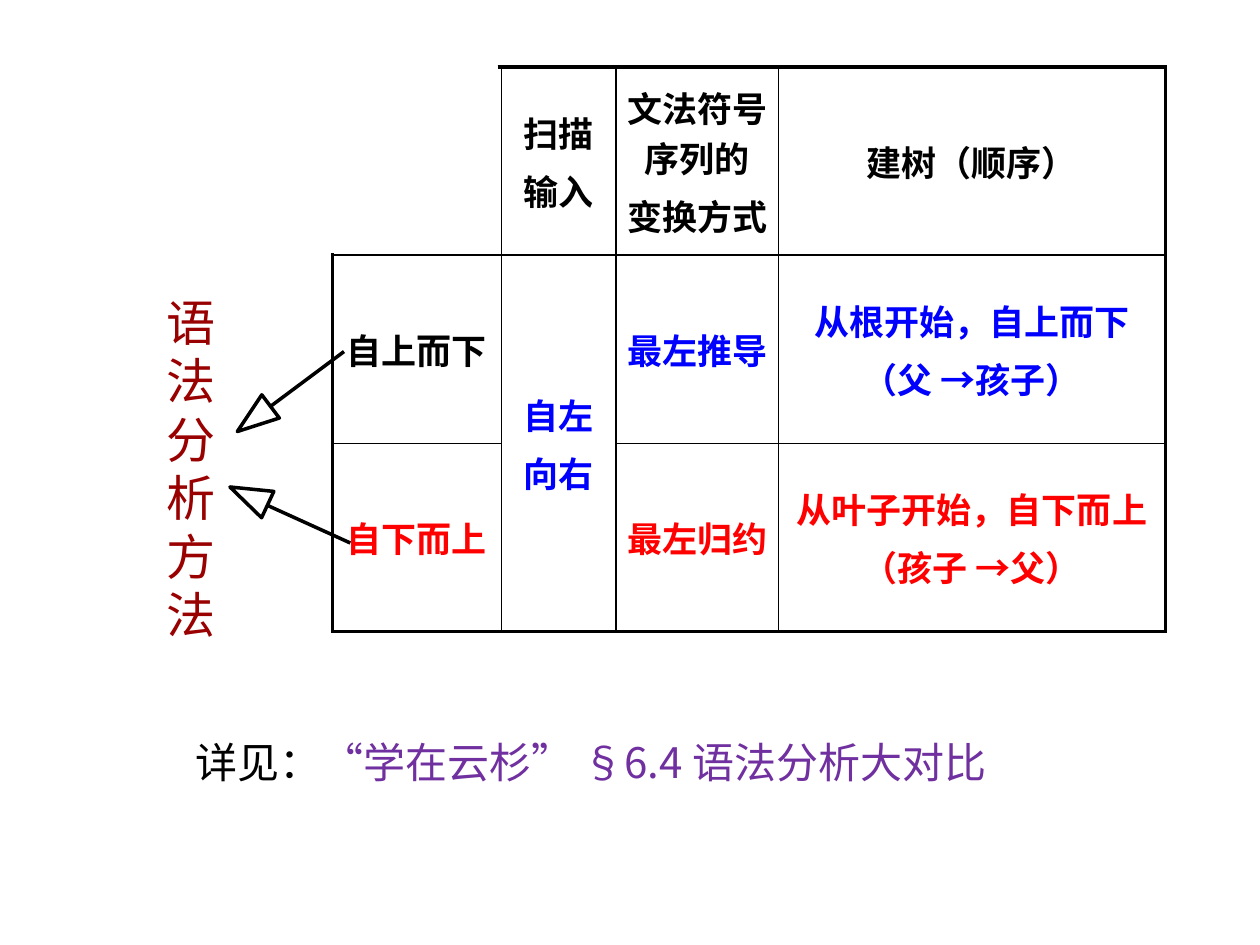
from dataclasses import dataclass

from lxml.etree import SubElement
from pptx import Presentation
from pptx.dml.color import RGBColor
from pptx.enum.lang import MSO_LANGUAGE_ID as Language
from pptx.enum.shapes import MSO_CONNECTOR as Connector, MSO_SHAPE as Preset
from pptx.enum.text import MSO_ANCHOR as Anchor, PP_ALIGN as Align
from pptx.oxml.ns import qn
from pptx.util import Pt


@dataclass(frozen=True)
class Theme:
    black: str = "000000"
    white: str = "FFFFFF"
    blue: str = "0000FF"
    red: str = "FF0000"
    maroon: str = "990000"
    purple: str = "7030A0"
    cjk: str = "Noto Sans CJK SC"
    serif: str = "Times New Roman"
    cell_size: float = 20
    note_size: float = 24
    heading_size: float = 28
    outer: float = 2.25
    inner: float = 1
    arrow: float = 2


THEME = Theme()
COLUMNS = [96.5, 65.5, 92.9, 221]
ROW_HEIGHT = 107.6
ROWS = [
    [[], ["扫描", "输入"], ["文法符号序列的", "变换方式"], ["建树（顺序）"]],
    [["自上而下"], ["自左", "向右"], ["最左推导"],
     ["从根开始，自上而下", "（父 →孩子）"]],
    [["自下而上"], [], ["最左归约"],
     ["从叶子开始，自下而上", "（孩子 →父）"]],
]


def apply(target, values):
    for name, value in values.items():
        setattr(target, name, value)


def points(*lengths):
    return [Pt(length) for length in lengths]


def add_span(para, text, size, color, latin=THEME.cjk, bold=False):
    for index, line in enumerate(text.split("\n")):
        if index:
            para.add_line_break()
        span = para.add_run()
        span.text = line
        apply(span.font, {"size": Pt(size), "bold": bold, "name": latin,
                          "language_id": Language.SIMPLIFIED_CHINESE})
        span.font.color.rgb = RGBColor.from_string(color)
        SubElement(span.font._element, qn("a:ea"), typeface=THEME.cjk)


def add_text(slide, bounds, spans, size, anchor=Anchor.TOP, spacing=None):
    frame = slide.shapes.add_textbox(*points(*bounds)).text_frame
    apply(frame, {"word_wrap": True, "vertical_anchor": anchor})
    para = frame.paragraphs[0]
    if spacing:
        para.line_spacing = Pt(spacing)
    for text, color in spans:
        add_span(para, text, size, color)


def set_borders(cell, widths):
    props = cell._tc.get_or_add_tcPr()
    for side, width in widths.items():
        line = SubElement(props, qn(f"a:ln{side}"), w=str(Pt(width)))
        fill = SubElement(line, qn("a:solidFill"))
        SubElement(fill, qn("a:srgbClr"), val=THEME.black)


def fill_cell(cell, lines, color):
    cell.fill.solid()
    cell.fill.fore_color.rgb = RGBColor.from_string(THEME.white)
    apply(cell, {"vertical_anchor": Anchor.MIDDLE, "margin_left": 0,
                 "margin_right": 0, "margin_top": 0, "margin_bottom": 0})
    frame = cell.text_frame
    for index, line in enumerate(lines):
        para = frame.add_paragraph() if index else frame.paragraphs[0]
        apply(para, {"alignment": Align.CENTER,
                     "space_before": Pt(THEME.cell_size * 0.2)})
        add_span(para, line, THEME.cell_size, color, THEME.serif, True)


def cell_color(row, column):
    if row == 0 or (row, column) == (1, 0):
        return THEME.black
    return THEME.blue if row == 1 else THEME.red


def add_comparison(slide):
    last_row, last_column = len(ROWS) - 1, len(COLUMNS) - 1
    bounds = points(190, 38.2, sum(COLUMNS), ROW_HEIGHT * len(ROWS))
    table = slide.shapes.add_table(len(ROWS), len(COLUMNS), *bounds).table
    apply(table, {"first_row": False, "horz_banding": False})
    for column, width in zip(table.columns, COLUMNS):
        column.width = Pt(width)
    for row in table.rows:
        row.height = Pt(ROW_HEIGHT)
    table.cell(1, 1).merge(table.cell(2, 1))
    for r, row in enumerate(ROWS):
        for c, lines in enumerate(row):
            cell = table.cell(r, c)
            bottom = r + cell.span_height - 1 if cell.is_merge_origin else r
            edges = {"L": c == 0, "R": c == last_column,
                     "T": r == 0, "B": bottom == last_row}
            set_borders(cell, {side: THEME.outer if outside else THEME.inner
                               for side, outside in edges.items()})
            fill_cell(cell, lines, cell_color(r, c))


def set_line(shape, color, width):
    shape.line.color.rgb = RGBColor.from_string(color)
    shape.line.width = Pt(width)


def add_arrow(slide, start, end, head_corner, rotation):
    group = slide.shapes.add_group_shape()
    shaft = group.shapes.add_connector(Connector.STRAIGHT, *points(*start, *end))
    SubElement(shaft._element.spPr, qn("a:effectLst"))
    head = group.shapes.add_shape(Preset.ISOSCELES_TRIANGLE,
                                  *points(*head_corner, 16.6, 23.8))
    head.rotation = rotation
    head.shadow.inherit = False
    head.fill.background()
    for part in (shaft, head):
        set_line(part, THEME.black, THEME.arrow)


def add_blank_corner(slide):
    corner = slide.shapes.add_shape(Preset.RECTANGLE,
                                    *points(159, 37.4, 125.3, 106.6))
    corner.shadow.inherit = False
    corner.fill.solid()
    corner.fill.fore_color.rgb = RGBColor.from_string(THEME.white)
    set_line(corner, THEME.white, THEME.inner)


def main():
    deck = Presentation()
    apply(deck, {"slide_width": Pt(720), "slide_height": Pt(540)})
    slide = deck.slides.add_slide(deck.slide_layouts[6])
    add_comparison(slide)
    add_text(slide, (87.8, 162.7, 51.1, 209.5),
             [("语法\n分析\n方法", THEME.maroon)],
             THEME.heading_size, Anchor.MIDDLE, 33.4)
    add_arrow(slide, (154.1, 232.6), (196.6, 200.9), (136.8, 227.5), 233)
    add_arrow(slide, (152.6, 288.7), (200.2, 310.3), (133.9, 271.4), 295)
    add_blank_corner(slide)
    add_text(slide, (104.4, 417.6, 561.6, 36),
             [("详见：", THEME.black),
              ("“学在云杉” §6.4 语法分析大对比", THEME.purple)],
             THEME.note_size)
    deck.save("out.pptx")


main()
